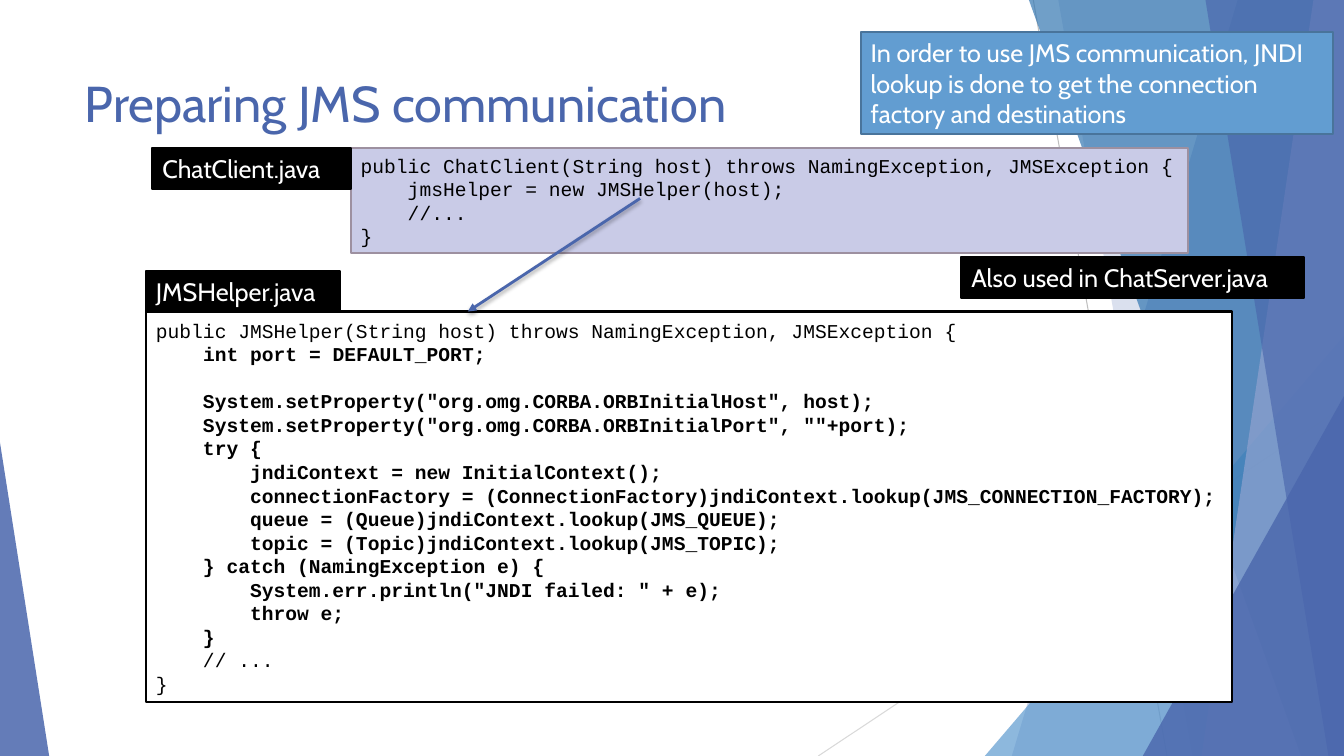
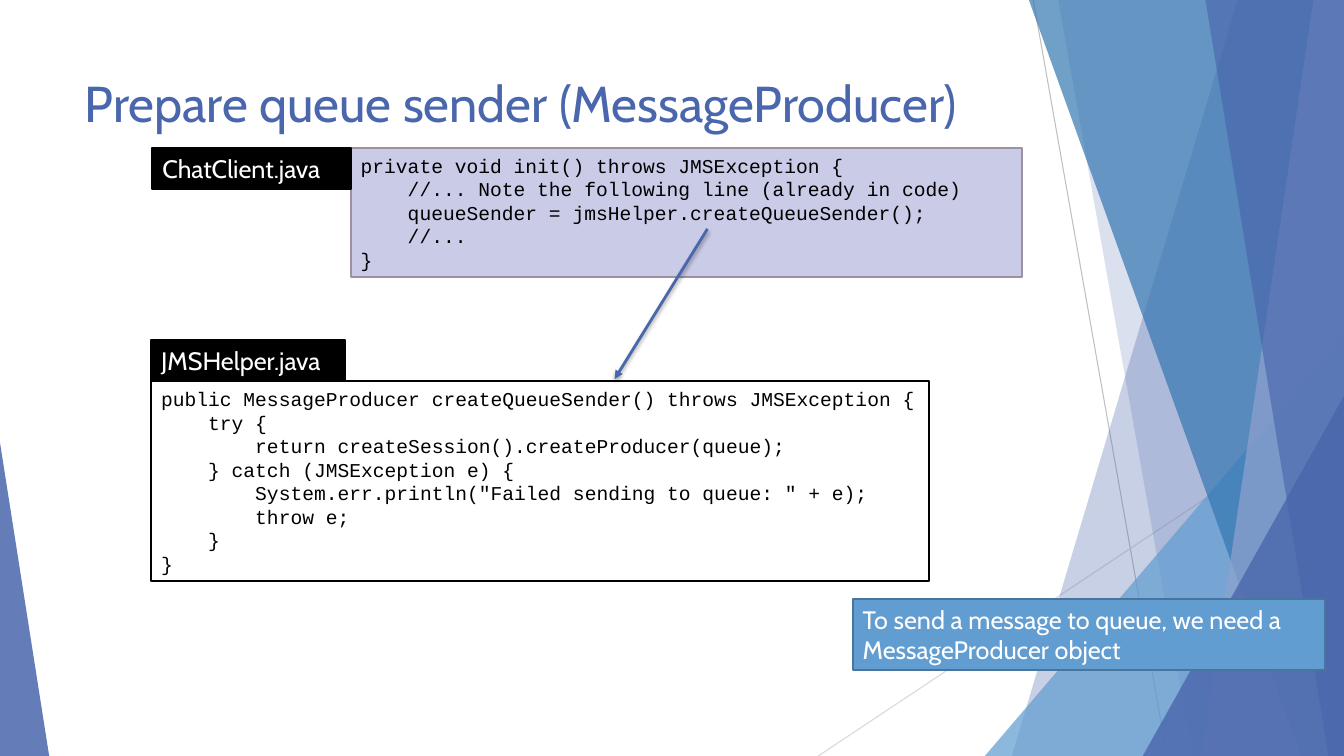
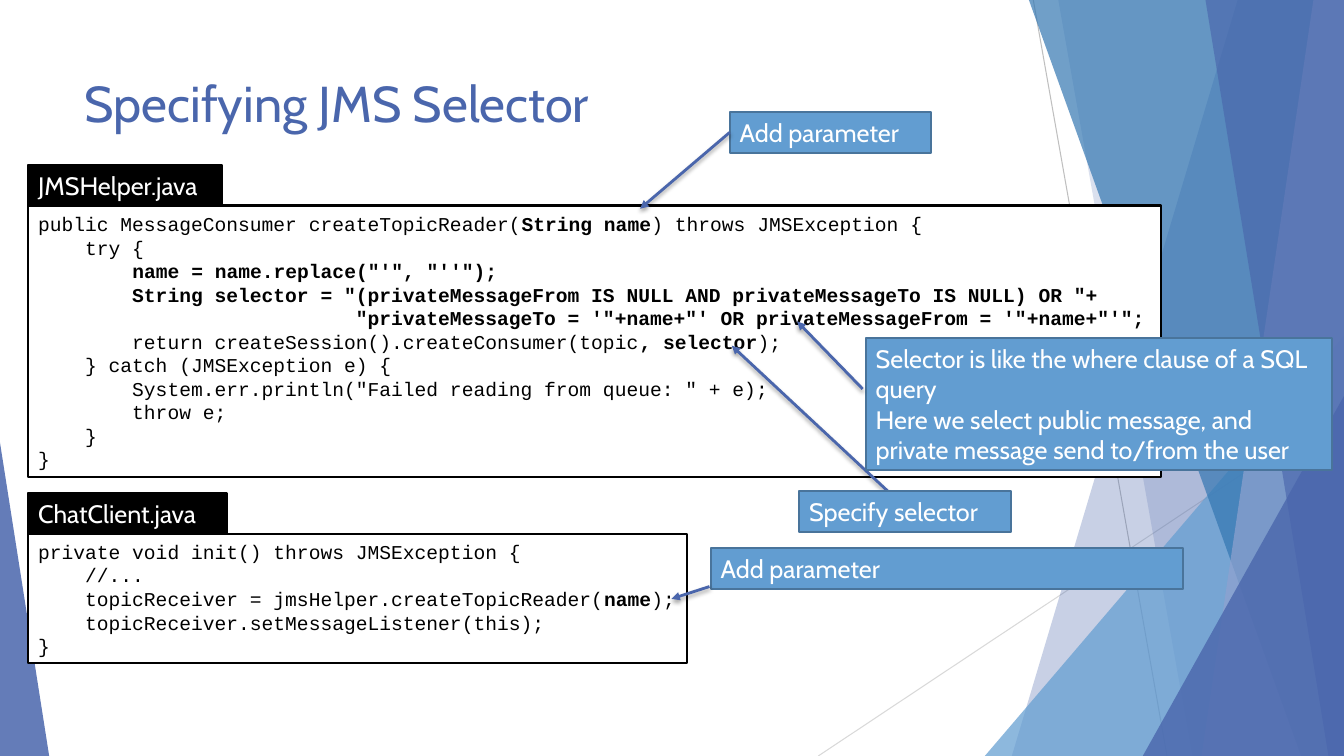
from dataclasses import dataclass

from lxml.etree import SubElement
from pptx import Presentation
from pptx.dml.color import RGBColor
from pptx.enum.shapes import MSO_CONNECTOR, MSO_SHAPE
from pptx.enum.text import MSO_ANCHOR, MSO_AUTO_SIZE, PP_ALIGN
from pptx.oxml.ns import qn
from pptx.util import Cm, Pt


@dataclass(frozen=True)
class Theme:
    width: float = 33.87
    height: float = 19.05
    text_font: str = "Cabin"
    code_font: str = "Courier New"
    title_size: int = 36
    label_size: int = 18
    code_size: int = 14
    accent: str = "4A66AC"
    sky: str = "629DD1"
    sky_edge: str = "49749B"
    ocean: str = "3477B2"
    mist: str = "90A2CF"
    lilac: str = "C9CBE7"
    lilac_edge: str = "9D90A0"
    white: str = "FFFFFF"
    black: str = "000000"


T = Theme()
CLIENT, HELPER = "ChatClient.java", "JMSHelper.java"
TAB_WIDTH = {CLIENT: 5.0, HELPER: 4.88}

CLIENT_CONSTRUCTOR = '''\
public ChatClient(String host) throws NamingException, JMSException {
    jmsHelper = new JMSHelper(host);
    //...
}'''

HELPER_CONSTRUCTOR = '''\
public JMSHelper(String host) throws NamingException, JMSException {
    **int port = DEFAULT_PORT;
    
    System.setProperty("org.omg.CORBA.ORBInitialHost", host);
    System.setProperty("org.omg.CORBA.ORBInitialPort", ""+port);
    try {
        jndiContext = new InitialContext();
        connectionFactory = (ConnectionFactory)jndiContext.lookup(JMS_CONNECTION_FACTORY);
        queue = (Queue)jndiContext.lookup(JMS_QUEUE);
        topic = (Topic)jndiContext.lookup(JMS_TOPIC);
    } catch (NamingException e) {
        System.err.println("JNDI failed: " + e);
        throw e;
    }**
    // ...
}'''

CLIENT_SENDER = '''\
private void init() throws JMSException {
    //... Note the following line (already in code)
    queueSender = jmsHelper.createQueueSender();
    //...
}'''

HELPER_SENDER = '''\
public MessageProducer createQueueSender() throws JMSException {
    try {
        return createSession().createProducer(queue);
    } catch (JMSException e) {
        System.err.println("Failed sending to queue: " + e);
        throw e;
    }
}'''

HELPER_READER = '''\
public MessageConsumer createTopicReader(**String name**) throws JMSException {
    try {
        **name = name.replace("'", "''");
        String selector = "(privateMessageFrom IS NULL AND privateMessageTo IS NULL) OR "+
                           "privateMessageTo = '"+name+"' OR privateMessageFrom = '"+name+"'";**
        return createSession().createConsumer(topic**, selector**);
    } catch (JMSException e) {
        System.err.println("Failed reading from queue: " + e);
        throw e;
    }
}'''

CLIENT_READER = '''\
private void init() throws JMSException {
    //...
    topicReceiver = jmsHelper.createTopicReader(**name**);
    topicReceiver.setMessageListener(this);
}'''


def rgb(color):
    return RGBColor.from_string(color)


def write(tf, text, font=T.text_font, size=T.label_size, color=T.white):
    """One paragraph per line; ** switches bold on and off, also across lines."""
    bold = False
    for i, line in enumerate(text.split("\n")):
        p = tf.paragraphs[0] if i == 0 else tf.add_paragraph()
        p.alignment = PP_ALIGN.LEFT
        for j, part in enumerate(line.split("**")):
            bold = bold != (j > 0)
            if part:
                r = p.add_run()
                r.text = part
                r.font.name, r.font.size, r.font.bold = font, Pt(size), bold
                r.font.color.rgb = rgb(color)


def paint(sp, fill, alpha=100, edge=None):
    sp.shadow.inherit = False
    sp.fill.solid()
    sp.fill.fore_color.rgb = rgb(fill)
    if alpha < 100:
        tint = sp.element.spPr.find(".//" + qn("a:srgbClr"))
        SubElement(tint, qn("a:alpha"), val=str(alpha * 1000))
    if edge:
        sp.line.color.rgb = rgb(edge)
        sp.line.width = Pt(1.5)
    else:
        sp.line.fill.background()


def add_line(shapes, start, end, color, width):
    line = shapes.add_connector(MSO_CONNECTOR.STRAIGHT, *map(Cm, start + end))
    line.line.color.rgb = rgb(color)
    line.line.width = Pt(width)
    return line, SubElement(line.element.spPr, qn("a:effectLst"))


def add_arrow(s, start, end):
    arrow, effects = add_line(s.shapes, start, end, T.accent, 2)
    SubElement(arrow.element.spPr.find(qn("a:ln")), qn("a:tailEnd"), type="triangle")
    shadow = SubElement(effects, qn("a:outerShdw"), blurRad=str(Pt(3)), dist=str(Pt(2)),
                        dir="5400000", rotWithShape="0")
    tint = SubElement(shadow, qn("a:srgbClr"), val=T.black)
    SubElement(tint, qn("a:alpha"), val="35000")
    return arrow


def add_box(s, x, y, w, h, text, fill, edge, **text_format):
    sp = s.shapes.add_shape(MSO_SHAPE.RECTANGLE, Cm(x), Cm(y), Cm(w), Cm(h))
    paint(sp, fill, edge=edge)
    tf = sp.text_frame
    tf.word_wrap = True
    tf.vertical_anchor = MSO_ANCHOR.MIDDLE
    write(tf, text, **text_format)
    return sp


def label_height(lines=1):
    return 0.26 + 0.77 * lines


def add_callout(s, x, y, w, text, lines=1):
    return add_box(s, x, y, w, label_height(lines), text, T.sky, T.sky_edge)


def add_tab(s, x, y, w, text):
    return add_box(s, x, y, w, label_height(), text, T.black, T.black)


def add_listing(s, x, y, w, name, code, beside=False):
    """Code box with its file name on top, or beside it for a lilac call site."""
    fill, edge = (T.lilac, T.lilac_edge) if beside else (T.white, T.black)
    h = 0.25 + 0.6 * len(code.split("\n"))
    add_box(s, x, y, w, h, code, fill, edge,
            font=T.code_font, size=T.code_size, color=T.black)
    tab_w = TAB_WIDTH[name]
    if beside:
        add_tab(s, x - tab_w, y, tab_w, name)
    else:
        add_tab(s, x, y - label_height(), tab_w, name)


def add_shard(shapes, top_x, bottom_x, color, alpha):
    """Panel from a slanted left edge to the right side of the slide."""
    builder = shapes.build_freeform(Cm(top_x), 0, scale=1.0)
    corners = [(T.width, 0), (T.width, T.height), (bottom_x, T.height)]
    builder.add_line_segments([(Cm(x), Cm(y)) for x, y in corners], close=True)
    paint(builder.convert_to_shape(), color, alpha)


def add_triangle(shapes, x, y, w, peak, color, alpha):
    sp = shapes.add_shape(MSO_SHAPE.ISOSCELES_TRIANGLE, Cm(x), Cm(y), Cm(w), Cm(T.height - y))
    sp.adjustments[0] = peak
    paint(sp, color, alpha)


def add_backdrop(s, layout):
    """Draw the facets once and move them into the shared layout."""
    group = s.shapes.add_group_shape()
    shapes = group.shapes
    add_line(shapes, (26.04, 0), (29.41, T.height), "BFBFBF", 0.75)
    add_line(shapes, (T.width, 10.24), (20.62, T.height), "D9D9D9", 0.75)
    add_shard(shapes, 31.19, 25.5, T.accent, 30)
    add_shard(shapes, 26.67, 30.05, T.accent, 20)
    add_triangle(shapes, 24.82, 8.46, 9.05, 1, T.sky, 72)
    add_shard(shapes, 25.93, 32.79, T.ocean, 70)
    add_shard(shapes, 33.1, 30.28, T.mist, 70)
    add_shard(shapes, 30.38, 33.48, T.accent, 65)
    add_triangle(shapes, 28.8, 9.98, 5.07, 1, T.accent, 80)
    add_triangle(shapes, 0, 11.15, 1.24, 0, T.accent, 85)
    layout.shapes.element.insert(2, group.element)


def add_titled_slide(prs, layout, title):
    s = prs.slides.add_slide(layout)
    sp = s.shapes.title
    sp.left, sp.top, sp.width, sp.height = map(Cm, (1.88, 1.7, 23.88, 2.03))
    tf = sp.text_frame
    tf.word_wrap = True
    tf.auto_size = MSO_AUTO_SIZE.NONE
    tf.vertical_anchor = MSO_ANCHOR.TOP
    write(tf, title, size=T.title_size, color=T.accent)
    return s


def main():
    prs = Presentation()
    prs.slide_width, prs.slide_height = Cm(T.width), Cm(T.height)
    layout = prs.slide_layouts[5]
    for ph in list(layout.placeholders)[1:]:
        layout.shapes.element.remove(ph.element)

    # JNDI lookup
    s = add_titled_slide(prs, layout, "Preparing JMS communication")
    add_backdrop(s, layout)
    add_callout(s, 21.69, 0.81, 11.91, "In order to use JMS communication, JNDI lookup is done "
                "to get the connection factory and destinations", lines=3)
    add_listing(s, 3.68, 7.85, 27.36, HELPER, HELPER_CONSTRUCTOR)
    add_listing(s, 8.84, 3.73, 21.11, CLIENT, CLIENT_CONSTRUCTOR, beside=True)
    add_arrow(s, (16.13, 5.0), (11.79, 7.85))
    add_tab(s, 24.23, 6.48, 8.64, "Also used in ChatServer.java")

    # Queue sender
    s = add_titled_slide(prs, layout, "Prepare queue sender (MessageProducer)")
    add_listing(s, 8.84, 3.73, 16.92, CLIENT, CLIENT_SENDER, beside=True)
    add_listing(s, 3.81, 9.6, 19.61, HELPER, HELPER_SENDER)
    add_arrow(s, (17.83, 5.77), (15.49, 9.55))
    add_callout(s, 21.49, 15.09, 11.91,
                "To send a message to queue, we need a MessageProducer object", lines=2)

    # Selector
    s = add_titled_slide(prs, layout, "Specifying JMS Selector")
    add_listing(s, 0.71, 5.18, 28.55, HELPER, HELPER_READER)
    add_arrow(s, (22.4, 12.4), (18.44, 8.71))
    add_callout(s, 20.14, 12.37, 5.33, "Specify selector")
    add_callout(s, 17.91, 13.82, 11.91, "Add parameter")
    parameter = add_callout(s, 18.39, 2.82, 5.08, "Add parameter")
    add_arrow(s, (18.39, 3.33), (16.13, 5.26)).begin_connect(parameter, 1)
    add_callout(s, 21.82, 8.51, 11.76, "Selector is like the where clause of a SQL query\n"
                "Here we select public message, and private message send to/from the user", lines=4)
    add_arrow(s, (21.74, 9.8), (20.09, 8.1))
    add_listing(s, 0.71, 13.46, 16.61, CLIENT, CLIENT_READER)
    add_arrow(s, (17.88, 14.78), (16.92, 15.09))

    prs.save("out.pptx")


if __name__ == "__main__":
    main()
